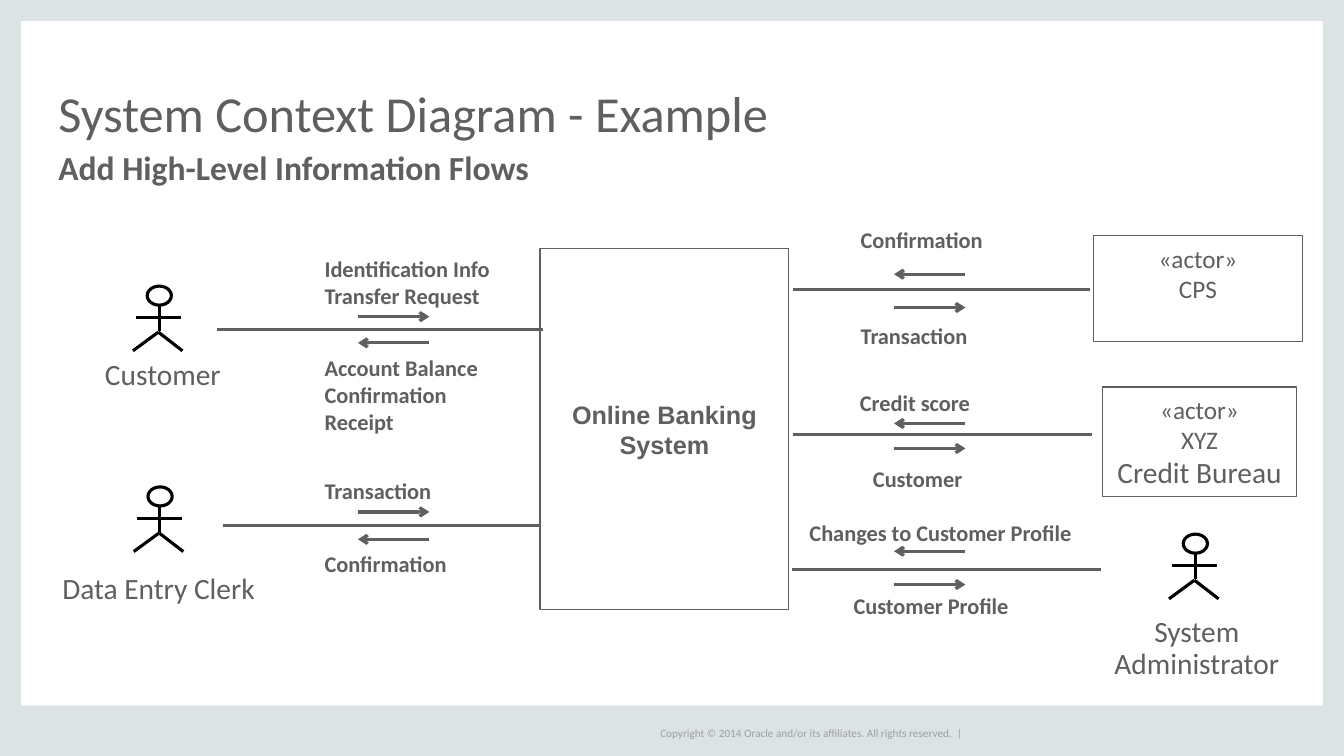
from lxml import etree
from pptx import Presentation
from pptx.dml.color import RGBColor
from pptx.enum.shapes import MSO_CONNECTOR, MSO_SHAPE
from pptx.enum.text import MSO_ANCHOR, MSO_AUTO_SIZE, PP_ALIGN
from pptx.oxml.ns import qn
from pptx.util import Cm, Pt

RECT, OVAL = MSO_SHAPE.RECTANGLE, MSO_SHAPE.OVAL
LEFT, CENTER = PP_ALIGN.LEFT, PP_ALIGN.CENTER
TOP, MIDDLE, BOTTOM = MSO_ANCHOR.TOP, MSO_ANCHOR.MIDDLE, MSO_ANCHOR.BOTTOM
GROW, FIXED = MSO_AUTO_SIZE.SHAPE_TO_FIT_TEXT, MSO_AUTO_SIZE.NONE
HEX = {"frame": "DCE3E4", "text": "5F5F5F", "figure": "000000", "footer": "9F9F9F"}
COLORS = {name: RGBColor.from_string(value) for name, value in HEX.items()}


def write(sp, text, size, bold=False, font="Calibri", color="text", align=LEFT,
          anchor=TOP, wrap=False, auto=FIXED, margins=(0.33, 0.18), spacing=None):
    """Fill a shape with text: newline starts a paragraph, vertical tab a line."""
    tf = sp.text_frame
    side, edge = map(Cm, margins)
    frame = {"word_wrap": wrap, "auto_size": auto, "vertical_anchor": anchor,
             "margin_left": side, "margin_right": side,
             "margin_top": edge, "margin_bottom": edge}
    for name, value in frame.items():
        setattr(tf, name, value)
    for i, line in enumerate(text.split("\n")):
        p = tf.paragraphs[0] if i == 0 else tf.add_paragraph()
        p.text, p.alignment, p.line_spacing = line, align, spacing
        for r in p.runs:
            r.font.name, r.font.size, r.font.bold = font, Pt(size), bold
            r.font.color.rgb = COLORS[color]


def add_line(shapes, x1, y1, x2, y2, color="text", arrow=False):
    c = shapes.add_connector(MSO_CONNECTOR.STRAIGHT, Cm(x1), Cm(y1), Cm(x2), Cm(y2))
    c.line.color.rgb, c.line.width = COLORS[color], Pt(2.25)
    if arrow:
        etree.SubElement(c.line._get_or_add_ln(), qn("a:tailEnd"), type="arrow")
    etree.SubElement(c._element.spPr, qn("a:effectLst"))


prs = Presentation()
prs.slide_width, prs.slide_height = Cm(33.87), Cm(19.05)
s = prs.slides.add_slide(prs.slide_layouts[5])

# Frame around the slide
for box in [(0, 0, 0.53, 19.05), (33.34, 0, 0.53, 19.05),
            (0, 17.78, 33.87, 1.27), (0, 0, 33.87, 0.53)]:
    sp = s.shapes.add_shape(RECT, *map(Cm, box))
    sp.shadow.inherit = False
    sp.fill.solid()
    sp.fill.fore_color.rgb = COLORS["frame"]
    sp.line.fill.background()

footer = s.shapes.add_textbox(Cm(16.64), Cm(18.21), Cm(7.75), Cm(0.51))
write(footer, "Copyright © 2014 Oracle and/or its affiliates. All rights reserved.  |",
      8, color="footer", anchor=MIDDLE, margins=(0, 0))

# Headings
title = s.shapes.title
title.left, title.top, title.width, title.height = map(Cm, (1.47, 1.12, 30.91, 2.46))
write(title, "System Context Diagram - Example", 36, anchor=BOTTOM, wrap=True,
      margins=(0, 0), spacing=0.8)
subtitle = s.shapes.add_textbox(Cm(1.47), Cm(3.81), Cm(30.91), Cm(0.97))
write(subtitle, "Add High-Level Information Flows", 24, bold=True, wrap=True,
      margins=(0, 0), spacing=0.9)

# The system and the external systems
boxes = [
    ((13.61, 6.27, 6.27, 9.09), "Online Banking System",
     {"bold": True, "font": "Arial", "anchor": MIDDLE, "wrap": True}),
    ((27.56, 5.94, 5.26, 2.67), "«actor»\vCPS", {}),
    ((27.79, 9.75, 4.88, 2.77), "«actor»\vXYZ\vCredit Bureau", {"auto": GROW}),
]
for box, text, style in boxes:
    sp = s.shapes.add_shape(RECT, *map(Cm, box))
    sp.shadow.inherit = False
    sp.fill.background()
    sp.line.color.rgb, sp.line.width = COLORS["text"], Pt(1)
    write(sp, text, 18, align=CENTER, **style)
credit_bureau = sp.text_frame.paragraphs[0].runs[-1]
credit_bureau.font.size = Pt(21)

# Human actors: head corner, label box, label
actors = [
    ((3.71, 7.21), (2.29, 9.17, 3.63, 0.79), "Customer", {"spacing": 0.5}),
    ((3.73, 12.27), (1.19, 14.3, 5.61, 1.14), "Data Entry Clerk",
     {"spacing": 0.9, "wrap": True}),
    ((29.82, 13.46), (27.58, 15.37, 5.16, 1.98), "System Administrator",
     {"spacing": 0.9, "wrap": True}),
]
LIMBS = [(0.3, 0.46, 0.3, 1.14), (0.28, 1.16, -0.36, 1.63),
         (-0.28, 0.79, 0.86, 0.79), (0.28, 1.16, 0.89, 1.63)]
for (x, y), box, name, style in actors:
    figure = s.shapes.add_group_shape().shapes
    head = figure.add_shape(OVAL, Cm(x), Cm(y), Cm(0.61), Cm(0.48))
    head.shadow.inherit = False
    head.fill.background()
    head.line.color.rgb, head.line.width = COLORS["figure"], Pt(2.25)
    for x1, y1, x2, y2 in LIMBS:
        add_line(figure, x + x1, y + y1, x + x2, y + y2, "figure")
    label = s.shapes.add_textbox(*map(Cm, box))
    write(label, name, 21, align=CENTER, auto=GROW, **style)

# Associations: line, heights of the two arrows, labels as (left, top, width, text)
INTO_LEFT, INTO_RIGHT = (9.02, 10.82), (24.33, 22.53)
associations = [
    (5.46, 13.69, 8.31, INTO_LEFT, 7.98, 8.64,
     [(7.85, 6.25, 4.93, "Identification Info\nTransfer Request"),
      (7.85, 8.74, 4.6, "Account Balance\nConfirmation\nReceipt")]),
    (5.61, 13.64, 13.25, INTO_LEFT, 12.9, 13.59,
     [(7.85, 11.84, 3.43, "Transaction"), (7.85, 13.69, 3.81, "Confirmation")]),
    (19.99, 27.46, 7.29, INTO_RIGHT, 6.91, 7.75,
     [(21.36, 5.51, 3.81, "Confirmation"), (21.36, 7.95, 3.43, "Transaction")]),
    (19.99, 27.51, 10.94, INTO_RIGHT, 10.67, 11.3,
     [(21.34, 9.63, 3.51, "Credit score"), (21.67, 11.53, 2.97, "Customer")]),
    (19.96, 27.74, 14.36, INTO_RIGHT, 13.89, 14.73,
     [(20.07, 12.9, 7.39, "Changes to Customer Profile"),
      (21.18, 14.73, 4.65, "Customer Profile")]),
]
for x1, x2, y, (start, end), y_in, y_out, labels in associations:
    add_line(s.shapes, x1, y, x2, y)
    add_line(s.shapes, start, y_in, end, y_in, arrow=True)
    add_line(s.shapes, end, y_out, start, y_out, arrow=True)
    for left, top, width, text in labels:
        height = 1.02 + 0.69 * text.count("\n")
        label = s.shapes.add_textbox(Cm(left), Cm(top), Cm(width), Cm(height))
        write(label, text, 16, bold=True, auto=GROW)

prs.save("out.pptx")
